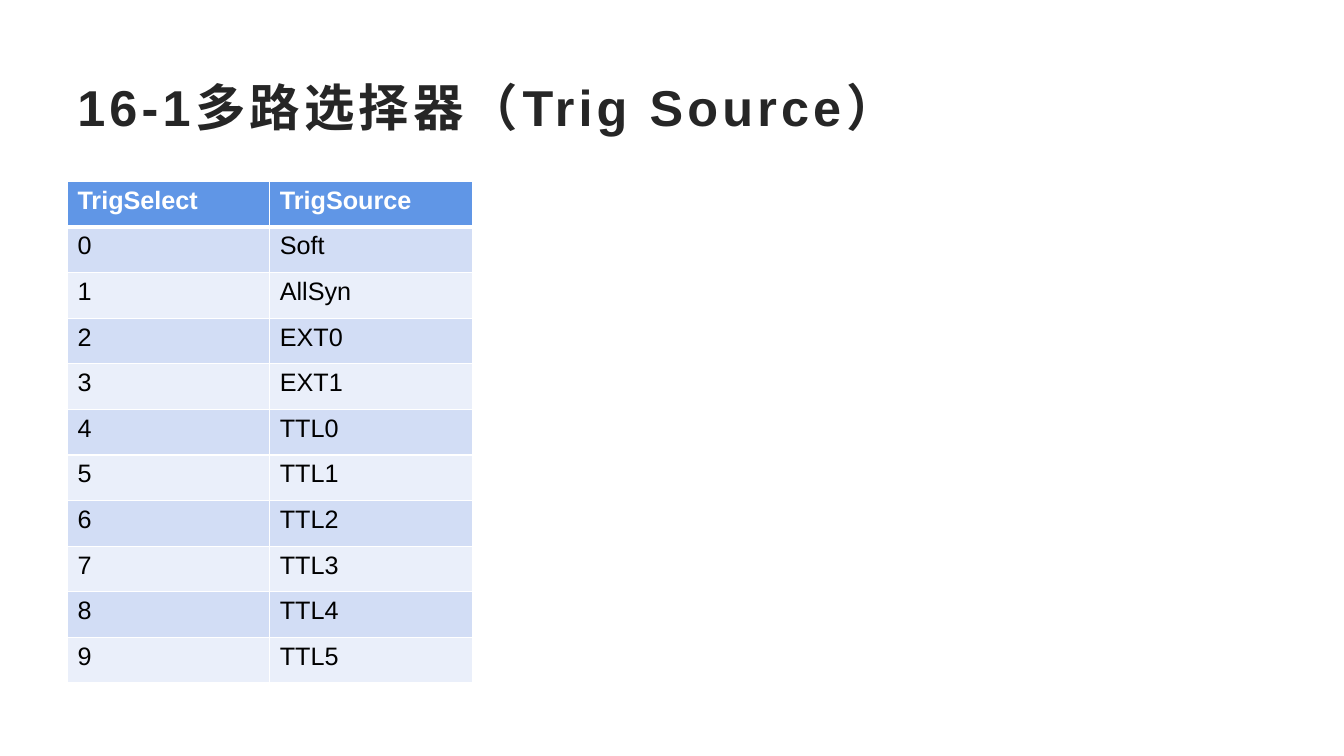
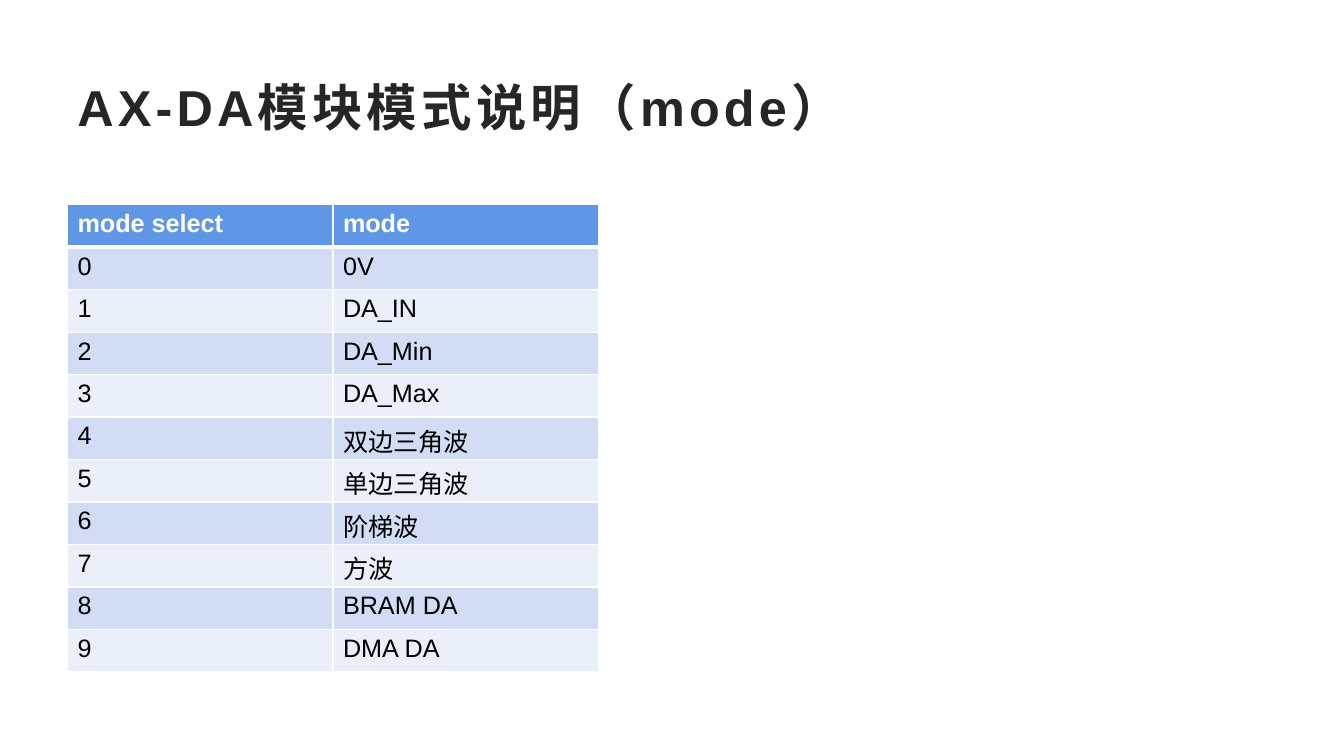
from pptx import Presentation
from pptx.dml.color import RGBColor
from pptx.enum.lang import MSO_LANGUAGE_ID
from pptx.enum.text import MSO_ANCHOR
from pptx.oxml.ns import qn
from pptx.util import Cm, Pt
from lxml.etree import SubElement

COLORS = {
    "title": "262626",
    "header": "6096E6",
    "band_dark": "D2DDF5",
    "band_light": "EAEFFA",
    "white": "FFFFFF",
    "black": "000000",
}
LEFT = Cm(1.7)
TITLE_FONT = {"size": Pt(36), "bold": True}
HEADER_FONT = {"size": Pt(18), "bold": True}
BODY_FONT = {"size": Pt(18), "bold": False}

SLIDES = [
    {
        "title": "16-1多路选择器（Trig Source）",
        "header": ("TrigSelect", "TrigSource"),
        "values": ["Soft", "AllSyn", "EXT0", "EXT1", "TTL0", "TTL1", "TTL2",
                   "TTL3", "TTL4", "TTL5"],
        "top": Cm(4.57), "col_width": Cm(5.1), "row_height": Cm(1.15),
    },
    {
        "title": "AX-DA模块模式说明（mode）",
        "header": ("mode select", "mode"),
        "values": ["0V", "DA_IN", "DA_Min", "DA_Max", "双边三角波", "单边三角波",
                   "阶梯波", "方波", "BRAM DA", "DMA DA"],
        "top": Cm(5.16), "col_width": Cm(6.69), "row_height": Cm(1.07),
    },
]


def write(tf, text, color, font_format):
    r = tf.paragraphs[0].add_run()
    r.text = text
    r.font.name = "Arial"
    r.font.language_id = MSO_LANGUAGE_ID.SIMPLIFIED_CHINESE
    r.font.color.rgb = RGBColor.from_string(COLORS[color])
    for name, value in font_format.items():
        setattr(r.font, name, value)
    return r


def add_borders(cell, widths):
    """Draw white cell borders; widths maps L, R, T, B to points, in that order."""
    tcPr = cell._tc.get_or_add_tcPr()
    for side, width in widths.items():
        ln = SubElement(tcPr, qn(f"a:ln{side}"), w=str(Pt(width)))
        fill = SubElement(ln, qn("a:solidFill"))
        SubElement(fill, qn("a:srgbClr"), val=COLORS["white"])


prs = Presentation()
prs.slide_width, prs.slide_height = Cm(33.87), Cm(19.05)

for content in SLIDES:
    s = prs.slides.add_slide(prs.slide_layouts[6])

    tf = s.shapes.add_textbox(LEFT, Cm(1.7), Cm(30.48), Cm(1.96)).text_frame
    tf.word_wrap = True
    tf.vertical_anchor = MSO_ANCHOR.MIDDLE
    r = write(tf, content["title"], "title", TITLE_FONT)
    r.font._element.set("spc", "300")

    rows = [content["header"]]
    rows += [(str(i), value) for i, value in enumerate(content["values"])]
    table = s.shapes.add_table(
        len(rows), 2, LEFT, content["top"],
        2 * content["col_width"], len(rows) * content["row_height"]).table
    for column in table.columns:
        column.width = content["col_width"]

    for i, texts in enumerate(rows):
        table.rows[i].height = content["row_height"]
        if i == 0:
            fill, color, font_format = "header", "white", HEADER_FONT
        else:
            fill = "band_dark" if i % 2 else "band_light"
            color, font_format = "black", BODY_FONT
        borders = {"L": 1, "R": 1, "T": 3 if i == 1 else 1, "B": 3 if i == 0 else 1}
        for cell, text in zip(table.rows[i].cells, texts):
            add_borders(cell, borders)
            cell.fill.solid()
            cell.fill.fore_color.rgb = RGBColor.from_string(COLORS[fill])
            write(cell.text_frame, text, color, font_format)

prs.save("out.pptx")
